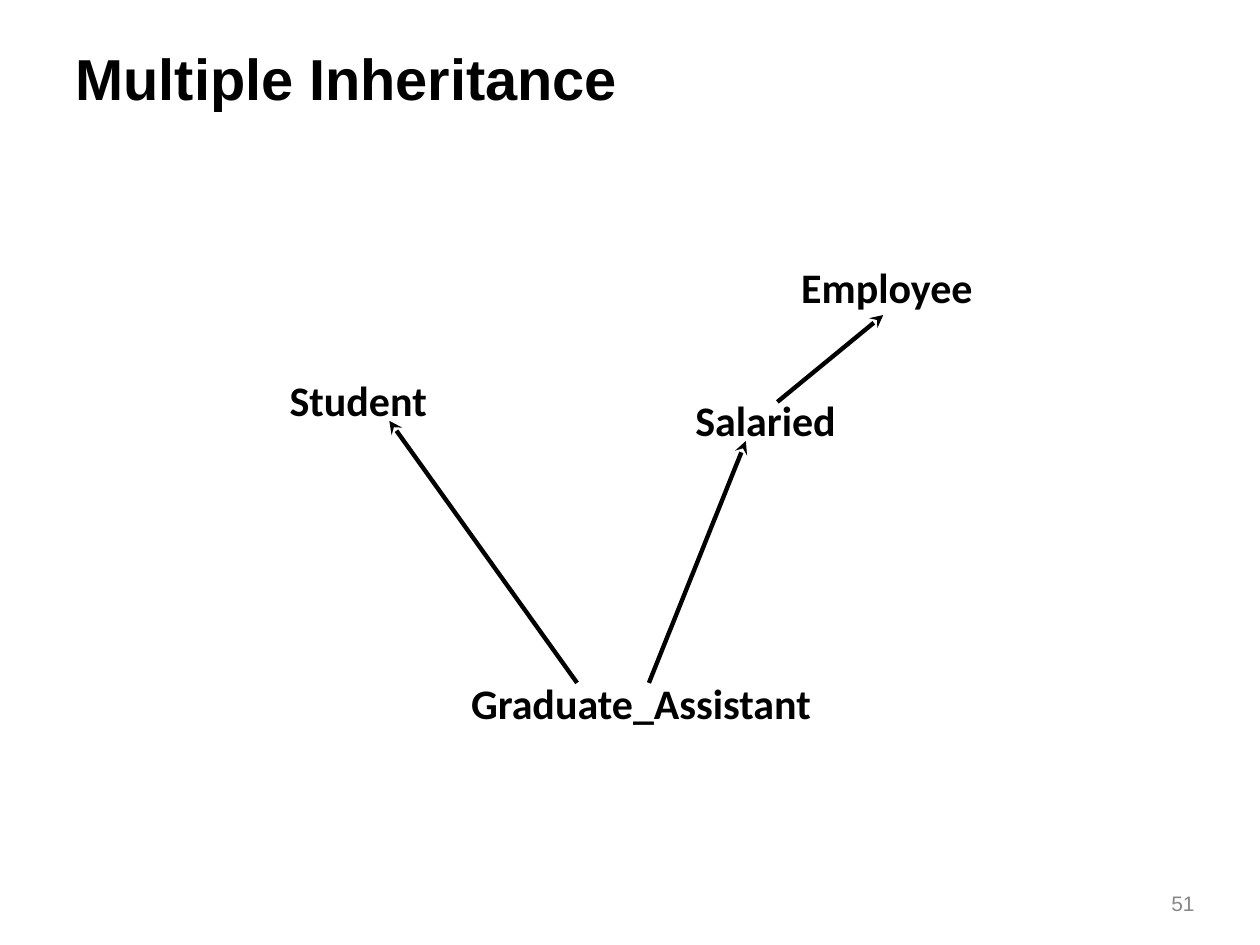
from lxml import etree
from pptx import Presentation
from pptx.dml.color import RGBColor
from pptx.enum.shapes import MSO_CONNECTOR
from pptx.enum.text import MSO_ANCHOR, MSO_AUTO_SIZE, PP_ALIGN
from pptx.oxml.ns import qn
from pptx.util import Inches, Pt

STRAIGHT = MSO_CONNECTOR.STRAIGHT
MIDDLE = MSO_ANCHOR.MIDDLE
NO_FIT, GROW = MSO_AUTO_SIZE.NONE, MSO_AUTO_SIZE.SHAPE_TO_FIT_TEXT
LEFT, RIGHT = PP_ALIGN.LEFT, PP_ALIGN.RIGHT
TITLE_ONLY = 5
COLUMNS, ROWS = 100, 75
CLASS_HEIGHT = 5

COLORS = {"ink": "000000", "page_number": "888888"}

CLASSES = [
    ("Student", 22, 29.2, 13),
    ("Employee", 62.6, 20.3, 15.8),
    ("Salaried", 54.2, 30.8, 13.3),
    ("Graduate_Assistant", 36.4, 53.3, 29.3),
]
INHERITANCE = [
    ((30.9, 33.4), (45.8, 54.2)),
    ((70.1, 25), (61.7, 31.9)),
    ((59.2, 35), (51.5, 54.2)),
]


class Diagram:
    heading_font = "Arial"
    label_font = "Calibri"

    def __init__(self, deck):
        self.column = deck.slide_width / COLUMNS
        self.row = deck.slide_height / ROWS
        self.slide = deck.slides.add_slide(deck.slide_layouts[TITLE_ONLY])

    def point(self, column, row):
        return round(column * self.column), round(row * self.row)

    def set_text(self, frame, text, font, size, color, bold=False, align=LEFT):
        frame.text = text
        paragraph = frame.paragraphs[0]
        paragraph.alignment = align
        style = paragraph.runs[0].font
        style.name, style.size, style.bold = font, Pt(size), bold
        style.color.rgb = RGBColor.from_string(COLORS[color])

    def title(self, text, column, row, width, height):
        heading = self.slide.shapes.title
        heading.left, heading.top = self.point(column, row)
        heading.width, heading.height = self.point(width, height)
        frame = heading.text_frame
        frame.auto_size = NO_FIT
        frame.vertical_anchor = MIDDLE
        self.set_text(frame, text, self.heading_font, 33, "ink", bold=True)

    def box(self, column, row, width, height):
        return self.slide.shapes.add_textbox(
            *self.point(column, row), *self.point(width, height)).text_frame

    def class_label(self, name, column, row, width):
        frame = self.box(column, row, width, CLASS_HEIGHT)
        frame.word_wrap = False
        frame.auto_size = GROW
        self.set_text(frame, name, self.label_font, 24, "ink", bold=True)

    def page_number(self, number, column, row, width, height):
        frame = self.box(column, row, width, height)
        frame.word_wrap = True
        self.set_text(frame, number, self.heading_font, 12, "page_number", align=RIGHT)

    def inherits(self, parent, child):
        arrow = self.slide.shapes.add_connector(
            STRAIGHT, *self.point(*parent), *self.point(*child))
        arrow.line.width = Pt(2.5)
        arrow.line.color.rgb = RGBColor.from_string(COLORS["ink"])
        properties = arrow.element.spPr
        outline = properties.find(qn("a:ln"))
        etree.SubElement(outline, qn("a:headEnd"), type="stealth")
        etree.SubElement(properties, qn("a:effectLst"))


def main():
    deck = Presentation()
    deck.slide_width, deck.slide_height = Inches(10), Inches(7.5)
    diagram = Diagram(deck)
    diagram.title("Multiple Inheritance", 5, 1.6, 90, 9.1)
    diagram.page_number("51", 87.8, 70.2, 8, 3.5)
    for label in CLASSES:
        diagram.class_label(*label)
    for parent, child in INHERITANCE:
        diagram.inherits(parent, child)
    deck.save("out.pptx")


if __name__ == "__main__":
    main()
